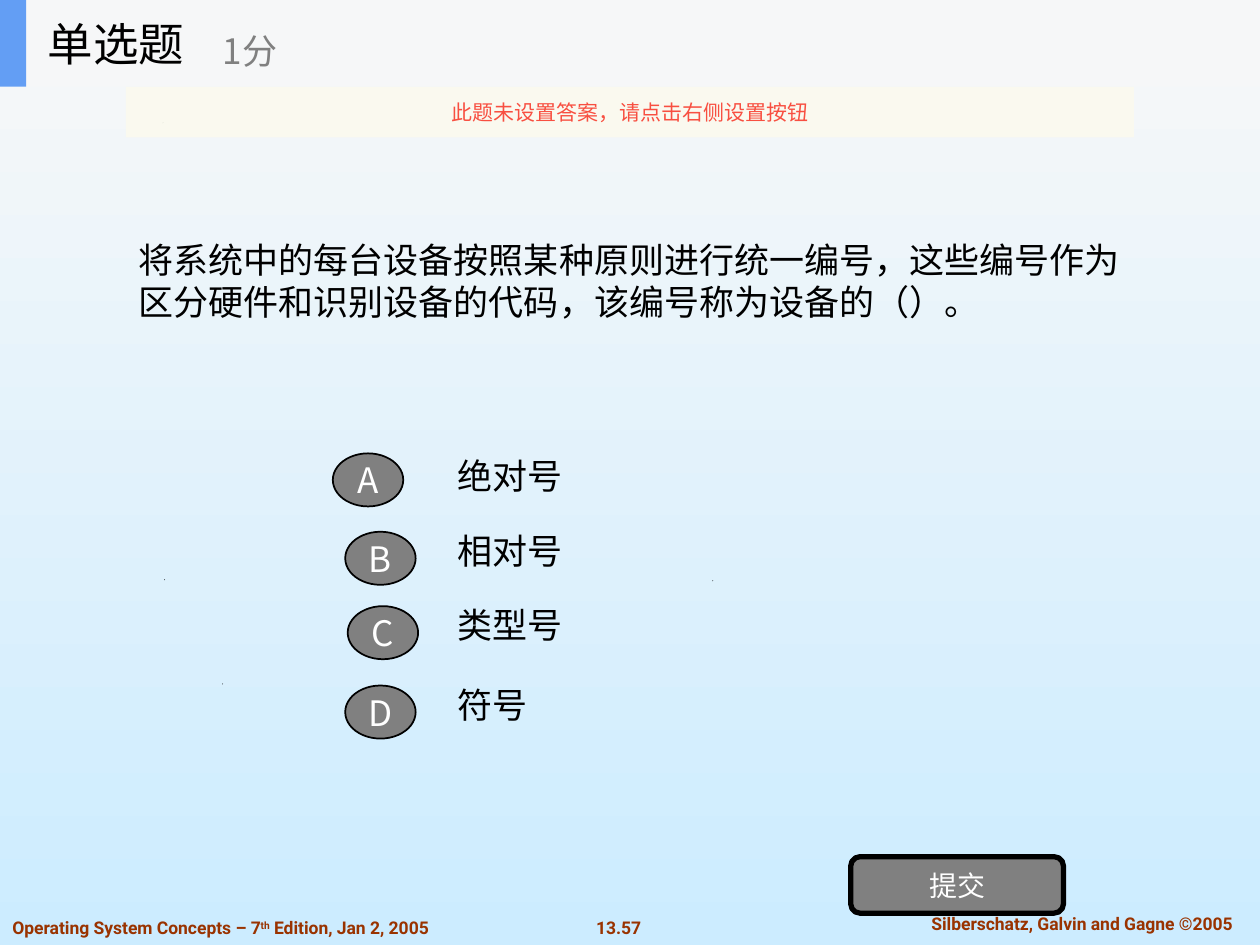
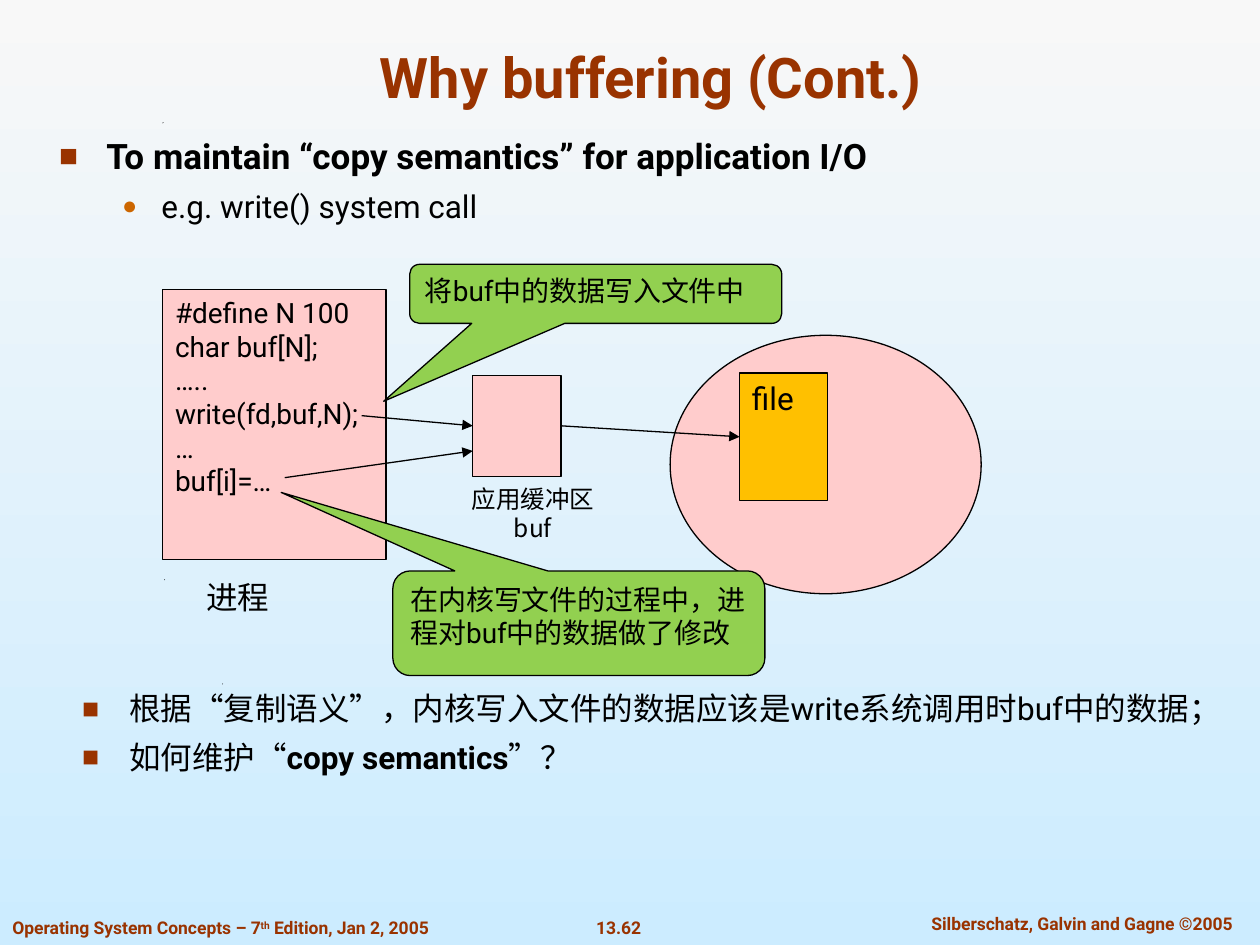
from collections import namedtuple

from lxml.etree import SubElement
from pptx import Presentation
from pptx.dml.color import RGBColor
from pptx.enum.shapes import MSO_CONNECTOR, MSO_SHAPE
from pptx.enum.text import MSO_ANCHOR, MSO_AUTO_SIZE, PP_ALIGN
from pptx.oxml.ns import qn
from pptx.util import Cm, Pt

BLACK = RGBColor(0x00, 0x00, 0x00)
WHITE = RGBColor(0xFF, 0xFF, 0xFF)
GRAY = RGBColor(0x80, 0x80, 0x80)
RUST = RGBColor(0x99, 0x33, 0x00)
ORANGE = RGBColor(0xCC, 0x66, 0x00)
RED = RGBColor(0xF8, 0x4F, 0x41)
CREAM = RGBColor(0xFB, 0xFA, 0xEF)
PALE = RGBColor(0xF6, 0xF7, 0xF8)
BLUE = RGBColor(0x63, 0x9E, 0xF4)
PINK = RGBColor(0xFF, 0xCC, 0xCC)
GOLD = RGBColor(0xFF, 0xC0, 0x00)
GREEN = RGBColor(0x92, 0xD0, 0x50)
SKY = (RGBColor(0xF8, 0xF8, 0xF8), RGBColor(0xCC, 0xEC, 0xFF))
SANS = "Noto Sans CJK SC"
LATIN = "Roboto"
LEADING = 1.2
WIDE, HIGH = 25.4, 19.05

Box = namedtuple("Box", "x y w h")
Bullet = namedtuple("Bullet", "char color percent left hang")
SQUARE = Bullet("■", RUST, 90, 0.95, 0.95)
DOT = Bullet("●", ORANGE, 80, 2.06, 0.79)


def inner(box, x, y, w, h):
    """Return a box whose place is measured from the corner of another."""
    return Box(box.x + x, box.y + y, w, h)


def lengths(box):
    return [Cm(side) for side in box]


def style(par, size, color=BLACK, face=SANS, bold=False):
    par.line_spacing = Pt(size * LEADING)
    for run in par.runs:
        font = run.font
        font.size, font.bold, font.name = Pt(size), bold, face
        font.color.rgb = color
        SubElement(run._r.get_or_add_rPr(), qn("a:ea"), typeface=SANS)


def write(shape, text, size, color=BLACK, face=SANS, bold=False,
          align=PP_ALIGN.LEFT, anchor=MSO_ANCHOR.TOP, wrap=True):
    frame = shape.text_frame
    frame.text = text
    frame.auto_size = MSO_AUTO_SIZE.NONE
    frame.word_wrap, frame.vertical_anchor = wrap, anchor
    for par in frame.paragraphs:
        par.alignment = align
        style(par, size, color, face, bold)


def label(slide, box, text, size, **look):
    field = slide.shapes.add_textbox(*lengths(box))
    write(field, text, size, **look)
    return field


def paint(shape, fill, line=None):
    shape.shadow.inherit = False
    shape.fill.solid()
    shape.fill.fore_color.rgb = fill
    if line:
        shape.line.color.rgb = BLACK
        shape.line.width = Pt(line)
    else:
        shape.line.fill.background()


def block(slide, kind, box, fill, line=None):
    shape = slide.shapes.add_shape(kind, *lengths(box))
    paint(shape, fill, line)
    return shape


def place(holder, box):
    holder.left, holder.top, holder.width, holder.height = lengths(box)
    return holder


def mark(par, bullet):
    props = par._p.get_or_add_pPr()
    props.set("marL", str(Cm(bullet.left)))
    props.set("indent", str(-Cm(bullet.hang)))
    tint = SubElement(props, qn("a:buClr"))
    SubElement(tint, qn("a:srgbClr"), val=str(bullet.color))
    SubElement(props, qn("a:buSzPct"), val=str(bullet.percent * 1000))
    SubElement(props, qn("a:buChar"), char=bullet.char)


def listing(holder, box, items):
    """Fill a body placeholder; an item is bullet, level, size, (text, bold) parts."""
    frame = place(holder, box).text_frame
    frame.auto_size = MSO_AUTO_SIZE.NONE
    frame.word_wrap, frame.vertical_anchor = True, MSO_ANCHOR.TOP
    for index, (bullet, level, size, parts) in enumerate(items):
        par = frame.add_paragraph() if index else frame.paragraphs[0]
        mark(par, bullet)
        par.level = level
        par.space_before = Pt(round(size * 0.35) if index else 0)
        for text, _ in parts:
            par.add_run().text = text
        style(par, size, face=LATIN)
        for run, (_, bold) in zip(par.runs, parts):
            run.font.bold = bold


def arrow(slide, start, end, source=None, target=None):
    """Draw an arrow, joined to the right of source and the left of target."""
    line = slide.shapes.add_connector(
        MSO_CONNECTOR.STRAIGHT, *[Cm(value) for value in (*start, *end)])
    if source:
        line.begin_connect(source, 3)
    if target:
        line.end_connect(target, 1)
    line.line.color.rgb = BLACK
    line.line.width = Pt(0.75)
    props = line._element.spPr
    SubElement(props.find(qn("a:ln")), qn("a:tailEnd"), type="triangle")
    SubElement(props, qn("a:effectLst"))


def specks(slide):
    for x, y in ((4.48, 13.78), (3.31, 11.68), (14.36, 11.7), (3.28, 2.47)):
        pen = slide.shapes.build_freeform(Cm(x), Cm(y))
        pen.add_line_segments([(Cm(x + 0.02), Cm(y)), (Cm(x), Cm(y + 0.02))])
        paint(pen.convert_to_shape(), BLACK)


def footer(slide, box, number):
    look = {"color": RUST, "face": LATIN, "bold": True}
    mid = {**look, "align": PP_ALIGN.CENTER}
    label(slide, inner(box, 11.76, 0.07, 1.42, 0.69), number, 10, wrap=False, **mid)
    label(slide, inner(box, 18.22, 0, 7.18, 0.69),
          "Silberschatz, Galvin and Gagne ©2005", 10, **mid)
    book = label(slide, inner(box, 0, 0.07, 9.37, 0.69),
                 "Operating System Concepts – 7", 10, **look)
    par = book.text_frame.paragraphs[0]
    for text in ("th", " Edition, Jan 2, 2005"):
        run = par.add_run()
        run.text = text
    style(par, 10, RUST, LATIN, True)
    par.runs[1]._r.get_or_add_rPr().set("baseline", "30000")


def page(deck, layout, number):
    """Add a slide with the shared background, specks and footer."""
    slide = deck.slides.add_slide(deck.slide_layouts[layout])
    fill = slide.background.fill
    fill.gradient()
    fill.gradient_angle = 270
    for stop, color in zip(fill.gradient_stops, SKY):
        stop.color.rgb = color
    specks(slide)
    footer(slide, Box(0, 18.29, WIDE, 0.76), number)
    return slide


def header(slide, box):
    block(slide, MSO_SHAPE.RECTANGLE, box, PALE)
    block(slide, MSO_SHAPE.RECTANGLE, box._replace(w=0.53), BLUE)
    title = place(slide.shapes.title, inner(box, 0.71, 0, 5.28, box.h))
    title.element.getparent().append(title.element)
    write(title, "单选题", 26, anchor=MSO_ANCHOR.MIDDLE)
    label(slide, inner(box, 4.24, 0.3, 6.35, 1.42), "1分", 20,
          color=GRAY, anchor=MSO_ANCHOR.MIDDLE)


def button(slide, kind, box, text, size, line):
    shape = block(slide, kind, box, GRAY, line)
    write(shape, text, size, WHITE, align=PP_ALIGN.CENTER,
          anchor=MSO_ANCHOR.MIDDLE, wrap=False)


def choices(slide, box):
    rows = (("A", "绝对号", 0, 0, 0.33), ("B", "相对号", 1.5, 0.25, 0.41),
            ("C", "类型号", 3, 0.3, 0.41), ("D", "符号", 4.6, 0.25, 0.41))
    for letter, text, top, shift, drop in rows:
        label(slide, inner(box, 2.26, top, 6.6, 1.57), text, 20,
              anchor=MSO_ANCHOR.MIDDLE)
        button(slide, MSO_SHAPE.OVAL, inner(box, shift, top + drop, 1.42, 1.07),
               letter, 20, 1)


def notice(slide, box):
    band = block(slide, MSO_SHAPE.RECTANGLE, box, CREAM)
    tint = band._element.spPr.find(qn("a:solidFill"))[0]
    SubElement(tint, qn("a:alpha"), val="90000")
    write(band, "此题未设置答案，请点击右侧设置按钮", 12, RED,
          align=PP_ALIGN.CENTER, anchor=MSO_ANCHOR.MIDDLE, wrap=False)


def quiz(deck):
    slide = page(deck, 5, "13.57")
    label(slide, Box(2.54, 2.69, 20.32, 5.94),
          "将系统中的每台设备按照某种原则进行统一编号，这些编号作为"
          "区分硬件和识别设备的代码，该编号称为设备的（）。", 20,
          anchor=MSO_ANCHOR.MIDDLE)
    choices(slide, Box(6.71, 8.81, 8.86, 6.17))
    button(slide, MSO_SHAPE.ROUNDED_RECTANGLE, Box(17.15, 17.27, 4.29, 1.14),
           "提交", 16, 3)
    header(slide, Box(0, 0, WIDE, 1.75))
    notice(slide, Box(2.54, 1.75, 20.32, 1.02))


def callout(slide, box, text, tip):
    shape = block(slide, MSO_SHAPE.ROUNDED_RECTANGULAR_CALLOUT, box, GREEN, 0.75)
    for index, value in enumerate((*tip, 0.167)):
        shape.adjustments[index] = value
    write(shape, text, 16, face=LATIN)


def diagram(slide, box):
    def put(kind, fill, *spot):
        return block(slide, kind, inner(box, *spot), fill, 0.75)

    def point(x, y):
        return box.x + x, box.y + y

    process = put(MSO_SHAPE.FLOWCHART_PROCESS, PINK, 0, 0.51, 4.5, 5.44)
    write(process, "#define N 100\nchar buf[N];\n…..\nwrite(fd,buf,N);\n…\nbuf[i]=…",
          16, face=LATIN)
    label(slide, inner(box, 0.63, 6.2, 2.03, 1.02), "进程", 18)
    buffer = put(MSO_SHAPE.FLOWCHART_PROCESS, PINK, 6.25, 2.24, 1.78, 2.03)
    label(slide, inner(box, 5.94, 4.3, 3.05, 1.45), "应用缓冲区\nbuf", 14,
          align=PP_ALIGN.CENTER)
    arrow(slide, point(4.01, 3.05), point(6.25, 3.25), target=buffer)
    put(MSO_SHAPE.OVAL, PINK, 10.23, 1.43, 6.27, 5.21)
    file = put(MSO_SHAPE.RECTANGLE, GOLD, 11.63, 2.19, 1.78, 2.57)
    write(file, "file", 18, face=LATIN)
    arrow(slide, point(8.03, 3.25), point(11.63, 3.47), buffer, file)
    callout(slide, inner(box, 4.98, 0, 7.5, 1.19),
            "将buf中的数据写入文件中", (-0.57, 1.82))
    callout(slide, inner(box, 4.64, 6.18, 7.5, 2.11),
            "在内核写文件的过程中，进程对buf中的数据做了修改", (-0.8, -1.25))
    arrow(slide, point(2.46, 4.3), point(6.25, 3.76))


def lesson(deck):
    slide = page(deck, 3, "13.62")
    title = place(slide.shapes.title, Box(1.91, 0.64, 22.43, 1.7))
    write(title, "Why buffering (Cont.)", 32, RUST, LATIN, True,
          PP_ALIGN.CENTER, MSO_ANCHOR.BOTTOM)
    listing(slide.placeholders[1], Box(0.94, 2.59, 23.39, 2.49), (
        (SQUARE, 0, 20, [("To maintain “copy semantics” for application I/O", True)]),
        (DOT, 1, 18, [("e.g. write() system call", False)])))
    diagram(slide, Box(3.28, 5.33, 16.5, 8.29))
    listing(slide.placeholders[2], Box(1.4, 13.77, 23.39, 2.49), (
        (SQUARE, 0, 18, [("根据“复制语义”，内核写入文件的数据应该是write"
                          "系统调用时buf中的数据；", False)]),
        (SQUARE, 0, 18, [("如何维护“", False), ("copy semantics", True),
                         ("”？", False)])))


def main():
    deck = Presentation()
    deck.slide_width, deck.slide_height = Cm(WIDE), Cm(HIGH)
    quiz(deck)
    lesson(deck)
    deck.save("out.pptx")


if __name__ == "__main__":
    main()
